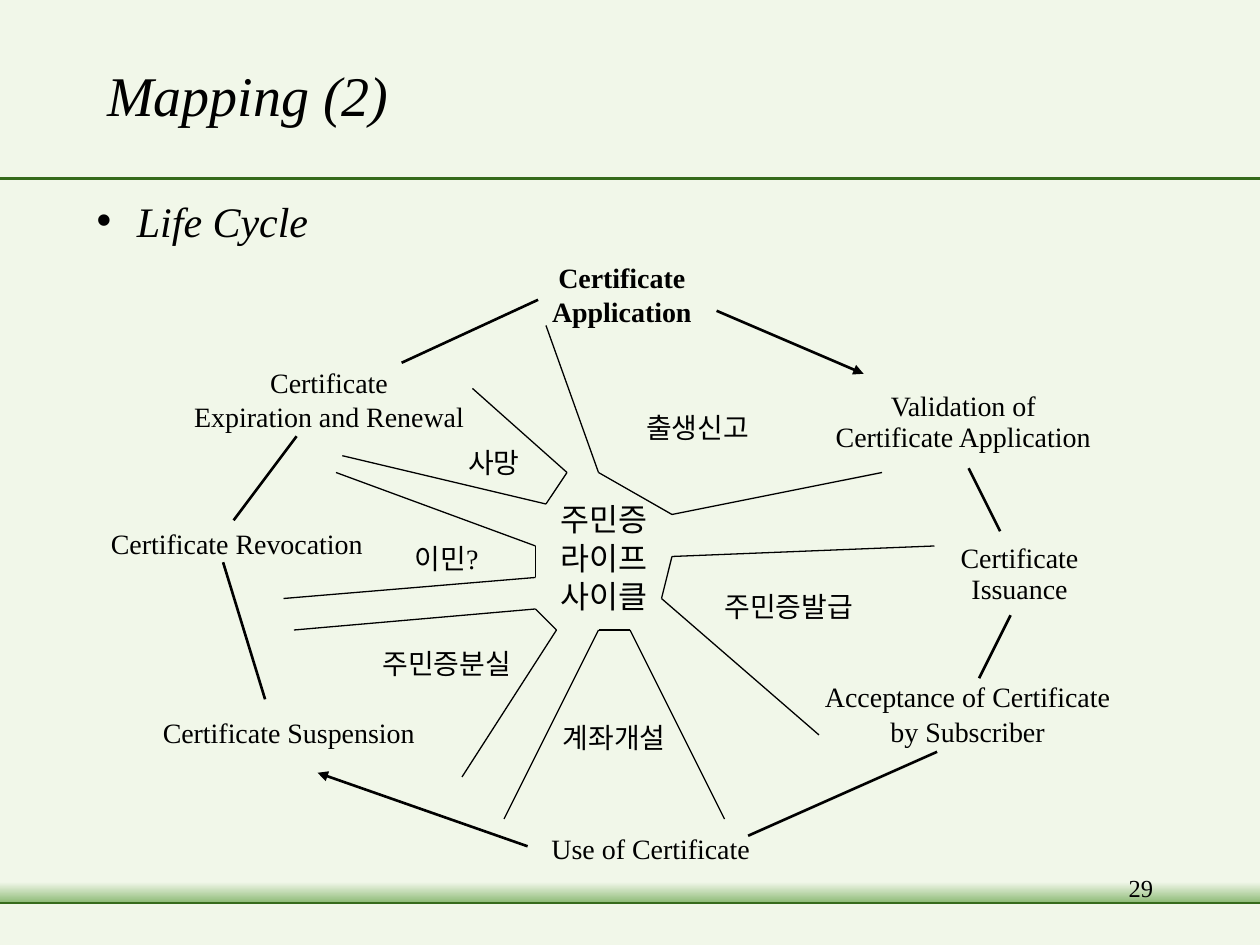
from dataclasses import dataclass

from lxml import etree
from pptx import Presentation
from pptx import util as u
from pptx.dml.color import RGBColor
from pptx.enum import shapes, text
from pptx.oxml import ns

COLUMNS, ROWS = 120, 90


@dataclass(frozen=True)
class Theme:
    font: str = "Times New Roman"
    ink: RGBColor = RGBColor(0, 0, 0)
    paper: RGBColor = RGBColor.from_string("F1F7E9")
    rule: RGBColor = RGBColor.from_string("366B1B")
    band: RGBColor = RGBColor.from_string("8DBA76")
    title: float = 32
    body: float = 24
    core: float = 18
    label: float = 16
    number: float = 14
    thick: float = 1.5
    thin: float = 0.75


class Canvas:
    """Draws on one slide; lengths are columns and rows of the grid."""

    def __init__(self, deck, theme):
        self.theme = theme
        self.slide = deck.slides.add_slide(deck.slide_layouts[1])
        self.column = deck.slide_width / COLUMNS
        self.row = deck.slide_height / ROWS
        background = self.slide.background.fill
        background.solid()
        background.fore_color.rgb = theme.paper

    def place(self, left, top, width, height):
        return (round(left * self.column), round(top * self.row),
                round(width * self.column), round(height * self.row))

    def style(self, para, size, bold=False, italic=False):
        font = para.font
        font.name, font.size = self.theme.font, u.Pt(size)
        font.bold, font.italic = bold, italic
        font.color.rgb = self.theme.ink

    def placeholder(self, index, words, area, size, bullet=False):
        box = self.slide.placeholders[index]
        box.left, box.top, box.width, box.height = self.place(*area)
        frame = box.text_frame
        frame.text = words
        frame.vertical_anchor = text.MSO_ANCHOR.MIDDLE
        para = frame.paragraphs[0]
        para.alignment = text.PP_ALIGN.LEFT
        para.space_before = u.Pt(0)
        if bullet:
            props = para._p.get_or_add_pPr()
            indent = u.Inches(0.32)
            props.set("marL", str(indent))
            props.set("indent", str(-indent))
            etree.SubElement(props, ns.qn("a:buChar"), char="•")
        self.style(para, size, italic=True)

    def label(self, lines, center, size, spacing=1.0, bold=False):
        """Stack centred lines around the middle point of the box."""
        column, row, width, height = center
        box = self.slide.shapes.add_textbox(
            *self.place(column - width / 2, row - height / 2, width, height))
        frame = box.text_frame
        frame.word_wrap = False
        frame.auto_size = text.MSO_AUTO_SIZE.SHAPE_TO_FIT_TEXT
        frame.vertical_anchor = text.MSO_ANCHOR.MIDDLE
        frame.text = lines
        for index, para in enumerate(frame.paragraphs):
            para.alignment = text.PP_ALIGN.CENTER
            para.line_spacing = spacing
            para.space_before = u.Pt(size * 0.625 if index else 0)
            self.style(para, size, bold)

    def line(self, start, end, width, color, arrow=False):
        link = self.slide.shapes.add_connector(
            shapes.MSO_CONNECTOR.STRAIGHT, *self.place(*start, *end))
        link.line.width = u.Pt(width)
        link.line.color.rgb = color
        props = link._element.spPr
        if arrow:
            etree.SubElement(props.get_or_add_ln(), ns.qn("a:tailEnd"), type="triangle")
        etree.SubElement(props, ns.qn("a:effectLst"))

    def bracket(self, points):
        for start, end in zip(points, points[1:]):
            self.line(start, end, self.theme.thin, self.theme.ink)

    def band(self, top, height):
        strip = self.slide.shapes.add_shape(
            shapes.MSO_SHAPE.RECTANGLE, *self.place(0, top, COLUMNS, height))
        strip.shadow.inherit = False
        strip.line.fill.background()
        strip.fill.gradient()
        strip.fill.gradient_angle = 270
        for stop, color in zip(strip.fill.gradient_stops, (self.theme.paper, self.theme.band)):
            stop.color.rgb = color

    def page_number(self, words, area):
        box = self.slide.shapes.add_textbox(*self.place(*area))
        box.text_frame.word_wrap = True
        para = box.text_frame.paragraphs[0]
        para.text = words
        para.alignment = text.PP_ALIGN.RIGHT
        self.style(para, self.theme.number)


# Lines of text, (middle column, middle row, width, height), line spacing
STAGES = [
    ("Validation of\nCertificate Application", (91.74, 40.8, 28, 5.2), 0.4),
    ("Certificate\nIssuance", (97.1, 55.25, 14, 5.5), 0.4),
    ("Acceptance of Certificate\nby Subscriber", (92.16, 68.58, 31, 6.1), 0.5),
    ("Use of Certificate", (61.98, 80.82, 23, 4.4), 1.0),
    ("Certificate Suspension", (27.5, 69.78, 28, 4.4), 1.0),
    ("Certificate Revocation", (22.56, 51.78, 28, 4.4), 1.0),
    ("Certificate\nExpiration and Renewal", (31.35, 38.6, 30, 6.1), 0.5),
]
EVENTS = [
    ("출생신고", (66.42, 40.74, 14, 4.4)),
    ("주민증발급", (75.12, 57.78, 16, 4.4)),
    ("계좌개설", (58.5, 70.26, 14, 4.4)),
    ("주민증분실", (42.55, 63.18, 16, 4.4)),
    ("이민?", (42.55, 53.22, 11, 4.4)),
    ("사망", (47.05, 44.05, 9, 4.4)),
]
# Start, end, arrowhead at the end
CYCLE = [
    ((68.25, 29.6), (82.25, 35.6), True),
    ((92.25, 44.6), (95.25, 50.6), False),
    ((96.25, 58.6), (93.25, 64.6), False),
    ((89.25, 71.6), (71.25, 79.6), False),
    ((50.25, 80.6), (30.25, 73.6), True),
    ((25.25, 66.6), (21.25, 53.55), False),
    ((22.25, 49.55), (28.25, 41.55), False),
    ((38.25, 34.55), (51.25, 28.55), False),
]
BRACKETS = [
    [(52, 31), (57, 45), (64, 49), (84, 45)],
    [(89, 52), (64, 53), (63, 57), (78, 70)],
    [(69, 78), (60, 60), (57, 60), (48, 78)],
    [(44, 74), (53, 60), (51, 58), (28, 60)],
    [(27, 57), (51, 55), (51, 52), (32, 45)],
    [(32.6, 43.4), (52, 48), (54, 45), (45, 37)],
]


def main():
    deck = Presentation()
    deck.slide_width, deck.slide_height = u.Inches(10), u.Inches(7.5)
    theme = Theme()
    canvas = Canvas(deck, theme)

    canvas.line((0, 17), (COLUMNS, 17), theme.thick, theme.rule)
    canvas.band(84, 2)
    canvas.line((0, 86), (COLUMNS, 86), theme.thick, theme.rule)
    canvas.placeholder(0, "Mapping (2)", (9, 3, 102, 12), theme.title)
    canvas.placeholder(1, "Life Cycle", (8, 18, 76, 6), theme.body, bullet=True)

    canvas.label("Certificate\nApplication", (59.22, 28.62, 16, 6.1),
                 theme.label, 0.5, bold=True)
    for lines, center, spacing in STAGES:
        canvas.label(lines, center, theme.label, spacing)
    for start, end, arrow in CYCLE:
        canvas.line(start, end, theme.thick, theme.ink, arrow)
    for points in BRACKETS:
        canvas.bracket(points)
    canvas.label("주민증\n라이프\n사이클", (57.5, 53.75, 15, 10.4), theme.core, 0.5)
    for lines, center in EVENTS:
        canvas.label(lines, center, theme.label)
    canvas.page_number("29", (86, 82.6, 25, 6))

    deck.save("out.pptx")


if __name__ == "__main__":
    main()
